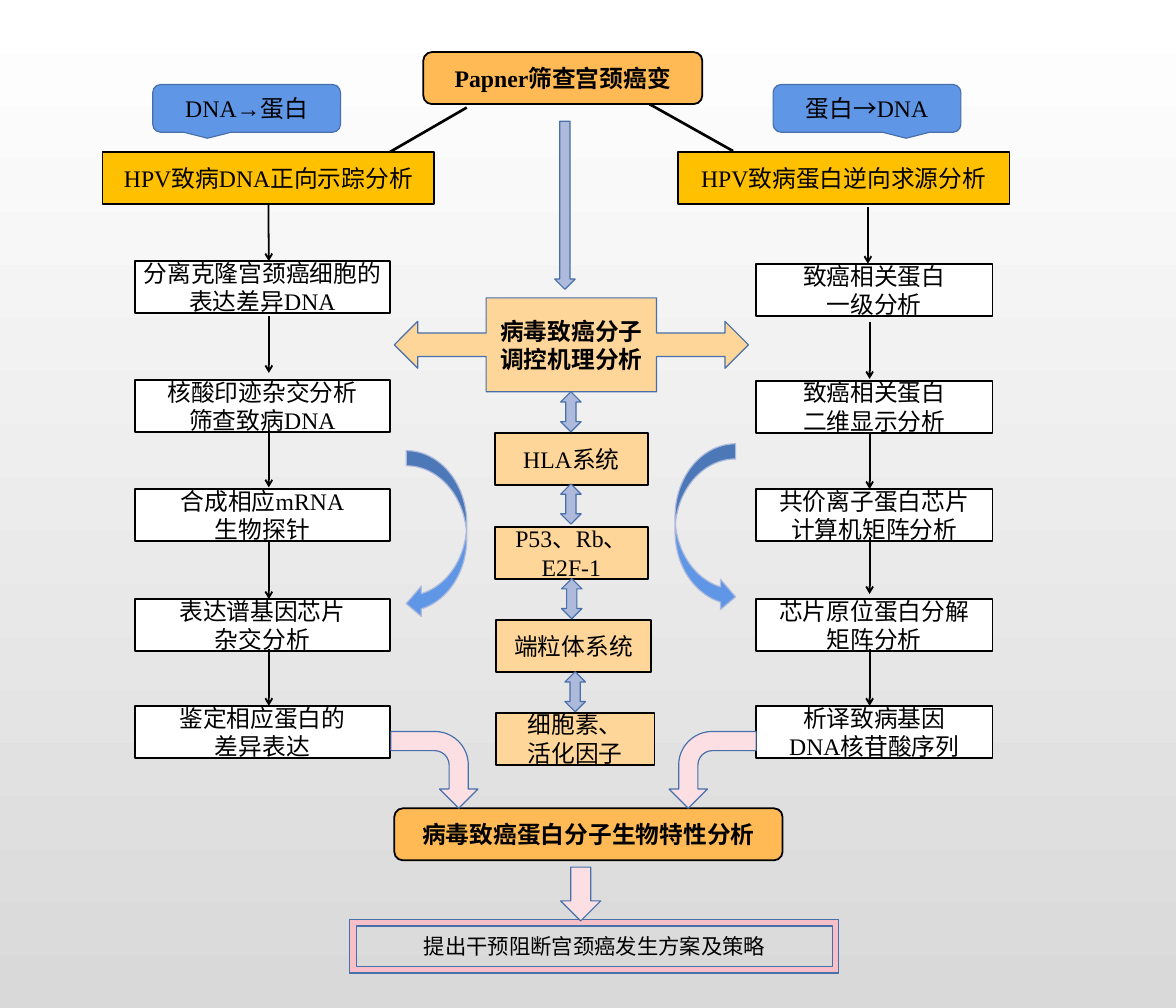
from dataclasses import dataclass
from typing import Optional

import pptx
import pptx.dml.color
import pptx.enum.shapes
import pptx.enum.text
import pptx.oxml
import pptx.oxml.ns
import pptx.shapes.autoshape
import pptx.shapes.connector
import pptx.slide
import pptx.util

Inches = pptx.util.Inches
RGBColor = pptx.dml.color.RGBColor
Preset = pptx.enum.shapes.MSO_SHAPE

BLACK = RGBColor(0x00, 0x00, 0x00)
WHITE = RGBColor(0xFF, 0xFF, 0xFF)
GREY = RGBColor(0xD9, 0xD9, 0xD9)
GOLD = RGBColor(0xFF, 0xC0, 0x00)
ORANGE = RGBColor(0xFF, 0xBA, 0x55)
PEACH = RGBColor(0xFF, 0xD6, 0x99)
BLUE = RGBColor(0x60, 0x96, 0xE6)
DARK_BLUE = RGBColor(0x47, 0x6F, 0xAA)
LAVENDER = RGBColor(0xAE, 0xBA, 0xDC)
PINK = RGBColor(0xF7, 0xBF, 0xC7)
PALE_PINK = RGBColor(0xFB, 0xDF, 0xE3)

BOX_HEIGHT = 0.61
STEP_ARROW_LENGTH = 0.67
BOTTOM_SITE = 2


@dataclass(frozen=True)
class Box:
    left: float
    top: float
    width: float
    text: str
    fill: RGBColor
    preset: Preset = Preset.RECTANGLE
    height: float = BOX_HEIGHT
    outline: RGBColor = BLACK
    outline_width: float = 1.5
    bold: bool = False
    size: int = 20
    font: str = "Times New Roman"
    flipped: bool = False


@dataclass(frozen=True)
class BlockArrow:
    preset: Preset
    left: float
    top: float
    width: float
    height: float
    fill: RGBColor
    outline: RGBColor = DARK_BLUE
    rotation: int = 0
    flipped: bool = False


@dataclass(frozen=True)
class Column:
    left: float
    width: float
    steps: tuple[tuple[float, str], ...]
    arrows: tuple[tuple[float, float], ...]


FORWARD_TITLE = Box(1.2, 1.78, 3.89, "HPV致病DNA正向示踪分析", GOLD)
BOXES = (
    FORWARD_TITLE,
    Box(7.94, 1.78, 3.89, "HPV致病蛋白逆向求源分析", GOLD),
    Box(4.96, 0.61, 3.27, "Papner筛查宫颈癌变", ORANGE,
        Preset.ROUNDED_RECTANGLE, bold=True),
    Box(5.8, 5.07, 1.79, "HLA系统", PEACH),
    Box(5.8, 6.17, 1.79, "P53、Rb、E2F-1", PEACH),
    Box(5.81, 7.26, 1.82, "端粒体系统", PEACH),
    Box(5.81, 8.35, 1.86, "细胞素、\n活化因子", PEACH),
    Box(4.62, 3.49, 4.15, "病毒致癌分子\n调控机理分析", PEACH,
        Preset.LEFT_RIGHT_ARROW_CALLOUT, 1.1, DARK_BLUE, 1, bold=True),
    Box(1.79, 0.99, 2.2, "DNA→蛋白", BLUE,
        Preset.ROUNDED_RECTANGULAR_CALLOUT, 0.56, DARK_BLUE, 1),
    Box(9.06, 0.99, 2.2, "蛋白→DNA", BLUE,
        Preset.ROUNDED_RECTANGULAR_CALLOUT, 0.56, DARK_BLUE, 1, flipped=True),
    Box(4.62, 9.47, 4.55, "病毒致癌蛋白分子生物特性分析", ORANGE,
        Preset.ROUNDED_RECTANGLE, bold=True),
    Box(4.1, 10.77, 5.73, "提出干预阻断宫颈癌发生方案及策略", PINK,
        Preset.FRAME, 0.63, DARK_BLUE, 1, size=18, font="Arial"),
)

COLUMNS = (
    Column(1.58, 2.99, (
        (3.06, "分离克隆宫颈癌细胞的表达差异DNA"),
        (4.45, "核酸印迹杂交分析\n筛查致病DNA"),
        (5.73, "合成相应mRNA\n生物探针"),
        (7.02, "表达谱基因芯片\n杂交分析"),
        (8.27, "鉴定相应蛋白的\n差异表达"),
    ), ((3.15, 3.7), (3.15, 5.04), (3.15, 6.35), (3.15, 7.6))),
    Column(8.86, 2.77, (
        (3.09, "致癌相关蛋白\n一级分析"),
        (4.46, "致癌相关蛋白\n二维显示分析"),
        (5.73, "共价离子蛋白芯片\n计算机矩阵分析"),
        (7.02, "芯片原位蛋白分解\n矩阵分析"),
        (8.27, "析译致病基因\nDNA核苷酸序列"),
    ), ((10.17, 2.42), (10.19, 3.77), (10.19, 5.06), (10.19, 6.29), (10.19, 7.6))),
)

LINK_ARROWS = tuple(
    BlockArrow(Preset.UP_DOWN_ARROW, left, top, 0.24, 0.47, LAVENDER)
    for left, top in ((6.57, 4.59), (6.57, 5.67), (6.58, 6.78), (6.62, 7.87))
)
BLOCK_ARROWS = LINK_ARROWS + (
    BlockArrow(Preset.DOWN_ARROW, 6.5, 1.42, 0.24, 1.97, LAVENDER),
    BlockArrow(Preset.CURVED_RIGHT_ARROW, 7.91, 5.2, 0.71, 1.97, BLUE, LAVENDER),
    BlockArrow(Preset.CURVED_RIGHT_ARROW, 4.76, 5.28, 0.71, 1.97, BLUE, LAVENDER,
               flipped=True),
    BlockArrow(Preset.BENT_ARROW, 4.64, 8.51, 0.9, 1.02, PALE_PINK, rotation=90),
    BlockArrow(Preset.BENT_ARROW, 7.9, 8.51, 0.9, 1.02, PALE_PINK, rotation=270,
               flipped=True),
    BlockArrow(Preset.DOWN_ARROW, 6.57, 10.16, 0.47, 0.63, PALE_PINK),
)


def add_figure(slide: pptx.slide.Slide, figure: Box | BlockArrow,
               outline_width: float) -> pptx.shapes.autoshape.Shape:
    """Draw the outline and fill shared by boxes and block arrows."""
    shape = slide.shapes.add_shape(
        figure.preset, Inches(figure.left), Inches(figure.top),
        Inches(figure.width), Inches(figure.height))
    shape.shadow.inherit = False
    shape.fill.solid()
    shape.fill.fore_color.rgb = figure.fill
    shape.line.color.rgb = figure.outline
    shape.line.width = pptx.util.Pt(outline_width)
    if figure.flipped:
        shape.element.spPr.xfrm.set("flipH", "1")
    return shape


def add_box(slide: pptx.slide.Slide, box: Box) -> pptx.shapes.autoshape.Shape:
    shape = add_figure(slide, box, box.outline_width)
    text_frame = shape.text_frame
    text_frame.word_wrap = True
    text_frame.vertical_anchor = pptx.enum.text.MSO_ANCHOR.MIDDLE
    text_frame.text = box.text
    for paragraph in text_frame.paragraphs:
        paragraph.alignment = pptx.enum.text.PP_ALIGN.CENTER
        paragraph.font.name = box.font
        paragraph.font.size = pptx.util.Pt(box.size)
        paragraph.font.bold = box.bold
        paragraph.font.color.rgb = BLACK
    return shape


def add_block_arrow(slide: pptx.slide.Slide, arrow: BlockArrow) -> None:
    add_figure(slide, arrow, 1).rotation = arrow.rotation


def add_line(slide: pptx.slide.Slide, start: tuple[float, float],
             end: tuple[float, float], width: float,
             arrowhead: Optional[str] = None) -> pptx.shapes.connector.Connector:
    connector = slide.shapes.add_connector(
        pptx.enum.shapes.MSO_CONNECTOR.STRAIGHT,
        *(Inches(value) for value in start + end))
    connector.line.color.rgb = BLACK
    connector.line.width = pptx.util.Pt(width)
    namespace = pptx.oxml.ns.nsdecls("a")
    if arrowhead:
        connector.line._get_or_add_ln().append(
            pptx.oxml.parse_xml(f'<a:tailEnd {namespace} type="{arrowhead}"/>'))
    connector.element.spPr.append(pptx.oxml.parse_xml(f"<a:effectLst {namespace}/>"))
    return connector


def add_step_arrow(slide: pptx.slide.Slide, x: float,
                   top: float) -> pptx.shapes.connector.Connector:
    return add_line(slide, (x, top), (x, top + STEP_ARROW_LENGTH), 1.5, "arrow")


def set_background(slide: pptx.slide.Slide) -> None:
    fill = slide.background.fill
    fill.gradient()
    fill.gradient_angle = 270
    for stop, color in zip(fill.gradient_stops, (WHITE, GREY)):
        stop.color.rgb = color


def main() -> None:
    presentation = pptx.Presentation()
    presentation.slide_width = Inches(13.78)
    presentation.slide_height = Inches(11.81)
    slide = presentation.slides.add_slide(presentation.slide_layouts[6])
    set_background(slide)

    add_line(slide, (4.57, 1.78), (5.47, 1.26), 2.25)
    add_line(slide, (8.59, 1.77), (7.61, 1.22), 2.25)
    shapes = {box: add_box(slide, box) for box in BOXES}
    first_arrow = add_step_arrow(slide, 3.15, FORWARD_TITLE.top + BOX_HEIGHT)
    first_arrow.begin_connect(shapes[FORWARD_TITLE], BOTTOM_SITE)

    for column in COLUMNS:
        for top, text in column.steps:
            add_box(slide, Box(column.left, top, column.width, text, WHITE))
        for x, top in column.arrows:
            add_step_arrow(slide, x, top)
    for arrow in BLOCK_ARROWS:
        add_block_arrow(slide, arrow)
    presentation.save("out.pptx")


if __name__ == "__main__":
    main()
